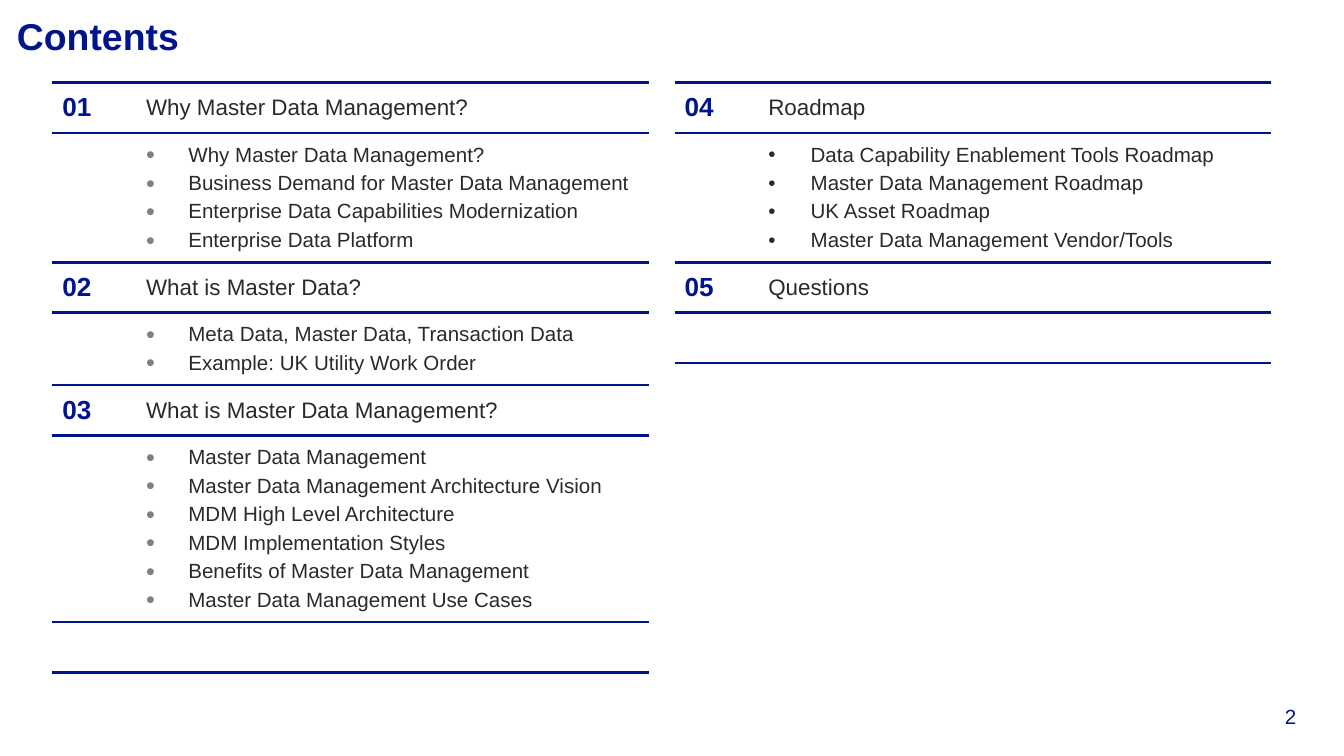
from lxml.etree import SubElement
from pptx import Presentation
from pptx.dml.color import RGBColor
from pptx.enum.text import MSO_ANCHOR as Anchor, PP_ALIGN as Align
from pptx.oxml.ns import qn
from pptx.util import Cm, Pt

NAVY = RGBColor(0x00, 0x14, 0x8C)
INK = RGBColor(0x2A, 0x2A, 0x2D)
GREY = RGBColor(0x80, 0x80, 0x83)
FONT = "Arial"

COLUMN_WIDTHS = (Cm(1.58), Cm(9.7))
INSET = Cm(0.19)
HEADING_HEIGHT = Cm(0.95)
TOPIC_HEIGHT = Cm(0.54)
TOPIC_PADDING = Cm(0.29)

LEFT_SECTIONS = [
    ("01", "Why Master Data Management?", [
        "Why Master Data Management?",
        "Business Demand for Master Data Management",
        "Enterprise Data Capabilities Modernization",
        "Enterprise Data Platform",
    ]),
    ("02", "What is Master Data?", [
        "Meta Data, Master Data, Transaction Data",
        "Example: UK Utility Work Order",
    ]),
    ("03", "What is Master Data Management?", [
        "Master Data Management",
        "Master Data Management Architecture Vision",
        "MDM High Level Architecture",
        "MDM Implementation Styles",
        "Benefits of Master Data Management",
        "Master Data Management Use Cases",
    ]),
]
RIGHT_SECTIONS = [
    ("04", "Roadmap", [
        "Data Capability Enablement Tools Roadmap",
        "Master Data Management Roadmap",
        "UK Asset Roadmap",
        "Master Data Management Vendor/Tools",
    ]),
    ("05", "Questions", []),
]


def format_text(paragraph, size, color, bold=False):
    for run in paragraph.runs:
        font = run.font
        font.name, font.size, font.bold = FONT, Pt(size), bold
        font.color.rgb = color


def clear_insets(frame):
    frame.margin_left = frame.margin_right = 0
    frame.margin_top = frame.margin_bottom = 0


def add_bullet(paragraph, color):
    """Give the paragraph a hanging bullet; a grey one is also enlarged."""
    props = paragraph._p.get_or_add_pPr()
    props.set("marL", str(Cm(0.8)))
    props.set("indent", str(-Cm(0.8)))
    fill = SubElement(props, qn("a:buClr"))
    SubElement(fill, qn("a:srgbClr"), val=str(color))
    if color == GREY:
        SubElement(props, qn("a:buSzPct"), val="123000")
    SubElement(props, qn("a:buFont"), typeface=FONT)
    SubElement(props, qn("a:buChar"), char="•")


def rule_cell(cell):
    """Leave the cell unfilled, with lines above and below only."""
    cell.fill.background()
    props = cell._tc.get_or_add_tcPr()
    for position, side in enumerate(("lnL", "lnR", "lnT", "lnB")):
        line = SubElement(props, qn(f"a:{side}"), w=str(Pt(1.5)))
        if side in ("lnT", "lnB"):
            fill = SubElement(line, qn("a:solidFill"))
            SubElement(fill, qn("a:srgbClr"), val=str(NAVY))
        else:
            SubElement(line, qn("a:noFill"))
        props.insert(position, line)


def prepare_cell(cell):
    rule_cell(cell)
    cell.vertical_anchor = Anchor.MIDDLE
    cell.margin_left = cell.margin_right = INSET
    cell.margin_top = cell.margin_bottom = INSET
    # An empty cell would otherwise stretch its row to the default text size
    SubElement(cell.text_frame.paragraphs[0]._p, qn("a:endParaRPr"), sz="1100")


def fill_heading(table, row, number, heading):
    for column, (text, size, color, bold) in enumerate(
            [(number, 14, NAVY, True), (heading, 12, INK, False)]):
        paragraph = table.cell(row, column).text_frame.paragraphs[0]
        paragraph.text = text
        format_text(paragraph, size, color, bold)


def fill_topics(cell, topics, bullet_color):
    frame = cell.text_frame
    frame.text = "\n".join(topics)
    for paragraph in frame.paragraphs:
        paragraph.space_after = Pt(3)
        add_bullet(paragraph, bullet_color)
        format_text(paragraph, 11, INK)


def add_contents_table(slide, left, sections, bullet_color, spare_rows=0):
    """Each section takes a heading row and a topic row."""
    heights = []
    for _, _, topics in sections:
        topic_height = TOPIC_PADDING + TOPIC_HEIGHT * len(topics)
        heights += [HEADING_HEIGHT, max(HEADING_HEIGHT, topic_height)]
    heights += [HEADING_HEIGHT] * spare_rows

    table = slide.shapes.add_table(len(heights), 2, left, Cm(1.56),
                                   sum(COLUMN_WIDTHS), sum(heights)).table
    table.first_row = table.horz_banding = False
    for column, width in zip(table.columns, COLUMN_WIDTHS):
        column.width = width
    for row, height in zip(table.rows, heights):
        row.height = height
        for cell in row.cells:
            prepare_cell(cell)

    for index, (number, heading, topics) in enumerate(sections):
        fill_heading(table, 2 * index, number, heading)
        if topics:
            fill_topics(table.cell(2 * index + 1, 1), topics, bullet_color)


def set_title(slide, text):
    title = slide.shapes.title
    title.left, title.top, title.width, title.height = (
        Cm(0.32), Cm(0.25), Cm(23.6), Cm(1.2))
    frame = title.text_frame
    frame.text = text
    clear_insets(frame)
    frame.vertical_anchor = Anchor.TOP
    frame.paragraphs[0].alignment = Align.LEFT
    format_text(frame.paragraphs[0], 20, NAVY, True)


def add_page_number(slide, number):
    frame = slide.shapes.add_textbox(
        Cm(23.02), Cm(13.3), Cm(1.48), Cm(0.48)).text_frame
    frame.text = number
    frame.word_wrap = True
    clear_insets(frame)
    frame.vertical_anchor = Anchor.BOTTOM
    frame.paragraphs[0].alignment = Align.RIGHT
    format_text(frame.paragraphs[0], 11, NAVY)


def main():
    deck = Presentation()
    deck.slide_width, deck.slide_height = Cm(25.4), Cm(14.29)
    slide = deck.slides.add_slide(deck.slide_layouts.get_by_name("Title Only"))
    set_title(slide, "Contents")
    add_contents_table(slide, Cm(0.99), LEFT_SECTIONS, GREY, spare_rows=1)
    add_contents_table(slide, Cm(12.75), RIGHT_SECTIONS, INK)
    add_page_number(slide, "2")
    deck.save("out.pptx")


if __name__ == "__main__":
    main()
